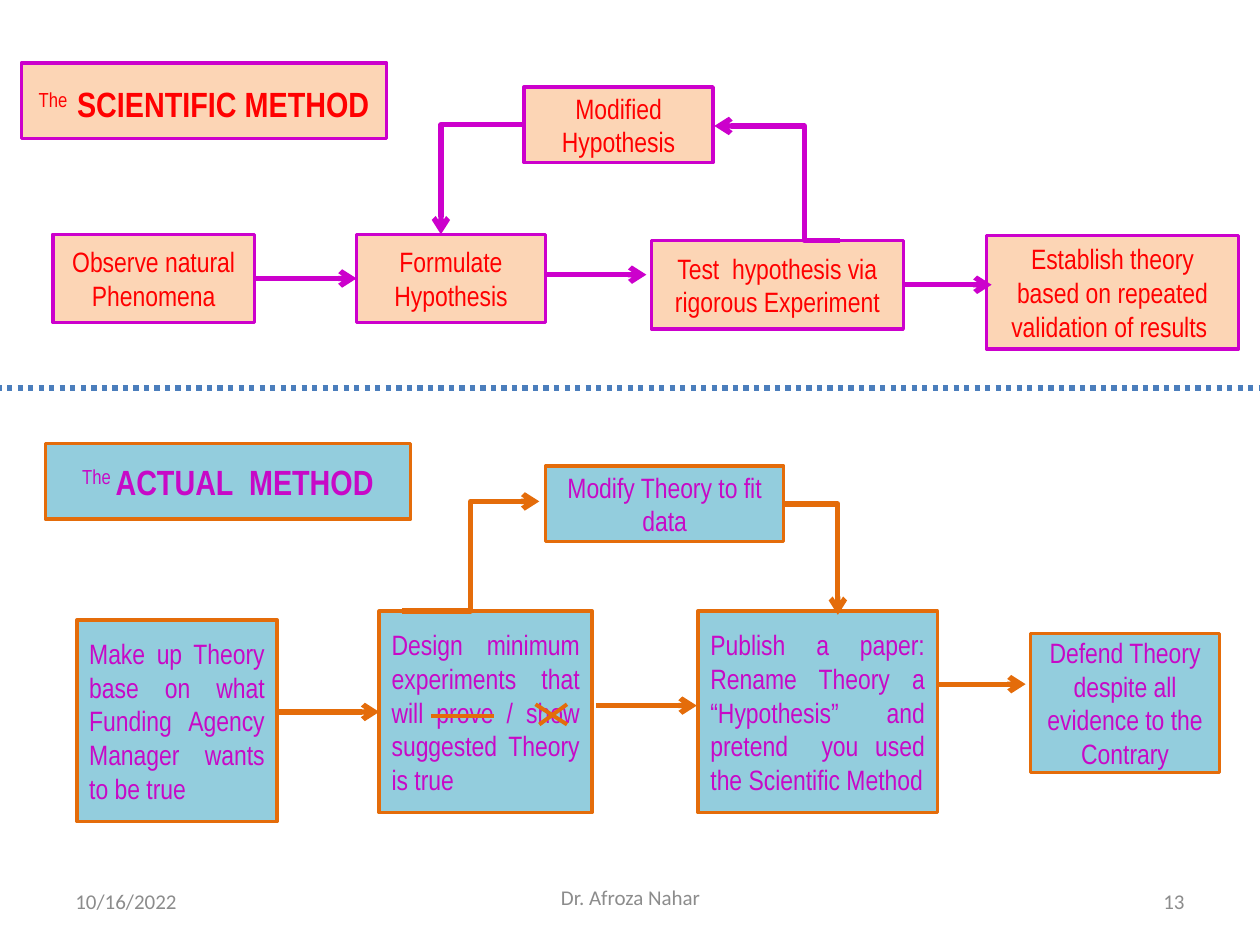
from lxml.etree import SubElement
from pptx import Presentation
from pptx.dml.color import RGBColor
from pptx.enum.dml import MSO_LINE as Dash
from pptx.enum.shapes import MSO_CONNECTOR as Link, MSO_SHAPE as Preset
from pptx.enum.text import MSO_ANCHOR as Anchor, PP_ALIGN as Align
from pptx.oxml.ns import qn
from pptx.util import Inches, Pt

SCIENTIFIC = {"fill": "FCD5B5", "edge": "CC00CC", "ink": "FF0000"}
ACTUAL = {"fill": "93CDDD", "edge": "E46C0A", "ink": "C709C7"}
RIGHT, LEFT = 3, 1

SCIENTIFIC_STEPS = {
    "observe": ("Observe natural Phenomena", (0.42, 1.86, 1.6, 0.7), Align.CENTER),
    "formulate": ("Formulate Hypothesis", (2.83, 1.86, 1.5, 0.7), Align.CENTER),
    "test": ("Test  hypothesis via rigorous Experiment", (5.17, 1.91, 2, 0.7), Align.CENTER),
    "establish": ("Establish theory based on repeated validation of results ",
                  (7.83, 1.87, 2, 0.9), Align.CENTER),
    "modified": ("Modified Hypothesis", (4.16, 0.69, 1.5, 0.6), Align.CENTER),
}
ACTUAL_STEPS = {
    "make up": ("Make up Theory base on what Funding Agency Manager wants to be true",
                (0.61, 4.92, 1.59, 1.6), Align.JUSTIFY),
    "design": ("Design minimum experiments that will prove / show suggested Theory is true",
               (3.01, 4.85, 1.69, 1.6), Align.JUSTIFY),
    "publish": ("Publish a paper: Rename Theory a “Hypothesis” and pretend  you used "
                "the Scientific Method", (5.54, 4.85, 1.9, 1.6), Align.JUSTIFY),
    "defend": ("Defend Theory despite all evidence to the Contrary",
               (8.18, 5.03, 1.5, 1.1), Align.CENTER),
    "modify": ("Modify Theory to fit data", (4.33, 3.7, 1.89, 0.6), Align.CENTER),
}


def color(hex_code):
    """Turn a hex string into a colour."""
    return RGBColor.from_string(hex_code)


def write(frame, runs, align, ink, font_name="Arial Narrow"):
    """Fill a text frame with runs of (text, font format, baseline)."""
    frame.word_wrap = True
    frame.vertical_anchor = Anchor.MIDDLE
    paragraph = frame.paragraphs[0]
    paragraph.alignment = align
    for text, font_format, baseline in runs:
        run = paragraph.add_run()
        run.text = text
        for name, value in {"name": font_name, **font_format}.items():
            setattr(run.font, name, value)
        run.font.color.rgb = color(ink)
        if baseline:
            run.font._element.set("baseline", str(baseline * 1000))


def add_box(slide, place, runs, theme, align=Align.CENTER):
    """Draw a bordered rectangle with text."""
    box = slide.shapes.add_shape(Preset.RECTANGLE, *map(Inches, place))
    box.shadow.inherit = False
    box.fill.solid()
    box.fill.fore_color.rgb = color(theme["fill"])
    box.line.color.rgb = color(theme["edge"])
    box.line.width = Pt(2)
    write(box.text_frame, runs, align, theme["ink"])
    return box


def add_steps(slide, steps, theme):
    """Draw the steps of one method and return their boxes by name."""
    return {name: add_box(slide, place, [(text, {"size": Pt(16)}, 0)], theme, align)
            for name, (text, place, align) in steps.items()}


def add_line(slide, start, end, edge, width=3.0, ends=("tailEnd",), kind=Link.STRAIGHT):
    """Draw a connector with open arrowheads at the given ends."""
    line = slide.shapes.add_connector(kind, *map(Inches, (*start, *end)))
    line.line.color.rgb = color(edge)
    line.line.width = Pt(width)
    for line_end in ends:
        SubElement(line.line._ln, qn(f"a:{line_end}"), type="arrow")
    SubElement(line._element.spPr, qn("a:effectLst"))
    return line


def add_elbow(slide, start, end, edge, bend=None):
    """Draw a bent arrow: one corner, or two with the middle leg at bend."""
    elbow = add_line(slide, start, end, edge, kind=Link.ELBOW)
    geometry = elbow._element.spPr.find(qn("a:prstGeom"))
    if bend is None:
        geometry.set("prst", "bentConnector2")
    else:
        guides = geometry.find(qn("a:avLst"))
        SubElement(guides, qn("a:gd"), name="adj1", fmla=f"val {round(bend * 100000)}")


def add_footer(slide, text, place, align):
    """Add one grey footer text."""
    footer = slide.shapes.add_textbox(*map(Inches, place))
    write(footer.text_frame, [(text, {"size": Pt(12)}, 0)], align, "8C8C8C", "Calibri")


def draw_scientific_method(slide):
    """Draw the upper flow."""
    edge = SCIENTIFIC["edge"]
    title = [("The", {"size": Pt(20)}, 30), (" ", {"size": Pt(24)}, 0),
             ("SCIENTIFIC METHOD", {"size": Pt(20), "bold": True}, 0)]
    add_box(slide, (0.17, 0.5, 2.9, 0.6), title, SCIENTIFIC)
    steps = add_steps(slide, SCIENTIFIC_STEPS, SCIENTIFIC)
    to_formulate = add_line(slide, (2.02, 2.21), (2.83, 2.21), edge)
    to_formulate.begin_connect(steps["observe"], RIGHT)
    to_formulate.end_connect(steps["formulate"], LEFT)
    add_line(slide, (4.33, 2.18), (5.13, 2.18), edge)
    to_establish = add_line(slide, (7.17, 2.26), (7.87, 2.26), edge)
    to_establish.begin_connect(steps["test"], RIGHT)
    add_elbow(slide, (4.16, 0.99), (3.5, 1.86), edge)
    add_elbow(slide, (6.67, 1.91), (5.67, 1), edge, bend=0.284)


def draw_actual_method(slide):
    """Draw the lower flow with its struck-out words."""
    edge = ACTUAL["edge"]
    title = [("The ", {"size": Pt(20)}, 30),
             ("ACTUAL  METHOD", {"size": Pt(20), "bold": True}, 0)]
    add_box(slide, (0.36, 3.52, 2.9, 0.6), title, ACTUAL)
    steps = add_steps(slide, ACTUAL_STEPS, ACTUAL)
    to_design = add_line(slide, (2.2, 5.65), (3.01, 5.65), edge)
    to_design.end_connect(steps["design"], LEFT)
    add_line(slide, (4.73, 5.6), (5.53, 5.6), edge)
    add_line(slide, (7.44, 5.43), (8.14, 5.43), edge)
    add_elbow(slide, (3.19, 4.85), (4.28, 3.98), edge, bend=0.5)
    add_elbow(slide, (6.22, 4), (6.65, 4.88), edge)
    for start, end in (((3.42, 5.68), (3.92, 5.68)),
                       ((4.25, 5.59), (4.5, 5.75)),
                       ((4.5, 5.59), (4.28, 5.75))):
        add_line(slide, start, end, edge, width=2.25, ends=())


def main():
    """Build the slide and save it."""
    deck = Presentation()
    deck.slide_width, deck.slide_height = Inches(10), Inches(7.5)
    slide = deck.slides.add_slide(deck.slide_layouts[6])
    add_footer(slide, "10/16/2022", (0.5, 6.95, 2.33, 0.4), Align.LEFT)
    add_footer(slide, "Dr. Afroza Nahar", (3.42, 6.92, 3.17, 0.4), Align.CENTER)
    add_footer(slide, "13", (7.17, 6.95, 2.33, 0.4), Align.RIGHT)
    draw_scientific_method(slide)
    draw_actual_method(slide)
    divider = add_line(slide, (-0.33, 3.08), (10.27, 3.08), "4B7EBC",
                       ends=("headEnd", "tailEnd"))
    divider.line.dash_style = Dash.ROUND_DOT
    deck.save("out.pptx")


if __name__ == "__main__":
    main()
